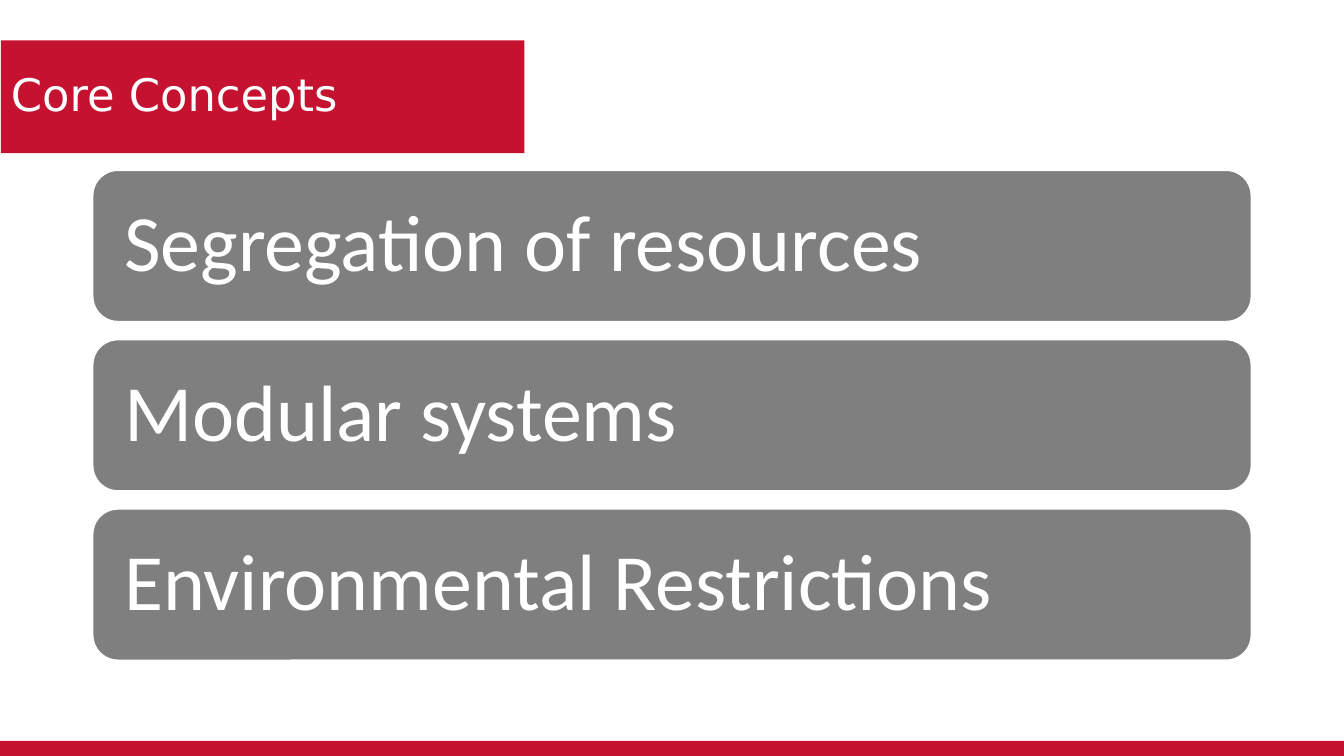
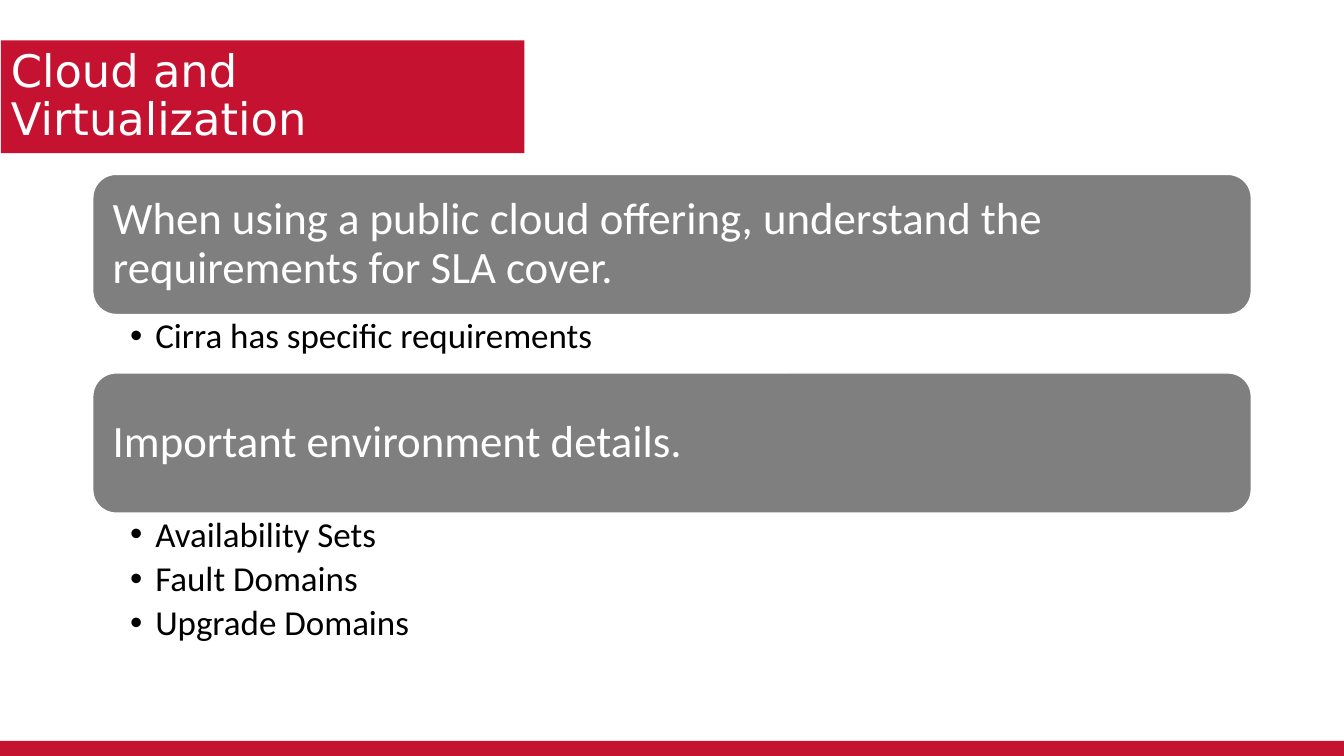
from dataclasses import dataclass

from lxml.etree import SubElement
from pptx import Presentation
from pptx.dml.color import RGBColor
from pptx.enum.shapes import MSO_SHAPE
from pptx.enum.text import MSO_ANCHOR, PP_ALIGN
from pptx.oxml.ns import qn
from pptx.util import Inches, Pt


@dataclass(frozen=True)
class Theme:
    red: str = "C41230"
    gray: str = "7F7F7F"
    white: str = "FFFFFF"
    black: str = "000000"
    title_font: str = "DejaVu Sans"
    body_font: str = "Calibri"
    title_size: int = 32
    concept_size: int = 57
    heading_size: int = 32
    bullet_size: int = 25


THEME = Theme()

# Slide size and content column, in inches
WIDTH, HEIGHT = 13.33, 7.5
MARGIN = 0.92
COLUMN = WIDTH - 2 * MARGIN
FOOTER = HEIGHT * 0.02


def add_box(slide, preset, left, top, width, height, fill, line=None):
    """Add a flat filled shape with an optional outline."""
    shape = slide.shapes.add_shape(
        preset, Inches(left), Inches(top), Inches(width), Inches(height))
    shape.shadow.inherit = False
    shape.fill.solid()
    shape.fill.fore_color.rgb = RGBColor.from_string(fill)
    if line:
        shape.line.color.rgb = RGBColor.from_string(line)
        shape.line.width = Pt(1)
    else:
        shape.line.fill.background()
    return shape


def add_bullet(paragraph, indent=0.25):
    """Give a paragraph a round bullet with a hanging indent."""
    properties = paragraph._p.get_or_add_pPr()
    properties.set("marL", str(Inches(indent)))
    properties.set("indent", str(-Inches(indent)))
    SubElement(properties, qn("a:buFont"), typeface="Arial")
    SubElement(properties, qn("a:buChar"), char="•")


def write_text(shape, *lines, size, color=THEME.white, font=THEME.body_font,
               insets=(0.1, 0.05, 0.1, 0.05), anchor=MSO_ANCHOR.MIDDLE,
               bullets=False, space_after=0):
    """Fill a shape with one paragraph for each line."""
    frame = shape.text_frame
    frame.word_wrap = True
    frame.vertical_anchor = anchor
    (frame.margin_left, frame.margin_top,
     frame.margin_right, frame.margin_bottom) = map(Inches, insets)
    for index, line in enumerate(lines):
        paragraph = frame.add_paragraph() if index else frame.paragraphs[0]
        paragraph.text = line
        if bullets:
            add_bullet(paragraph)
        paragraph.alignment = PP_ALIGN.LEFT
        paragraph.line_spacing = 0.9
        paragraph.space_after = Pt(space_after)
        paragraph.font.size = Pt(size)
        paragraph.font.name = font
        paragraph.font.color.rgb = RGBColor.from_string(color)


def add_base_slide(presentation, title):
    """Add a blank slide with the footer band and title block."""
    slide = presentation.slides.add_slide(presentation.slide_layouts[6])
    add_box(slide, MSO_SHAPE.RECTANGLE, 0, HEIGHT - FOOTER, WIDTH, FOOTER, THEME.red)
    block = add_box(slide, MSO_SHAPE.RECTANGLE, 0.01, 0.4, 5.19, 1.12, THEME.red)
    write_text(block, title, size=THEME.title_size, font=THEME.title_font)
    return slide


def add_card(slide, text, top, height, size, inset):
    """Add a rounded gray card across the content column."""
    card = add_box(slide, MSO_SHAPE.ROUNDED_RECTANGLE, MARGIN, top, COLUMN, height,
                   THEME.gray, line=THEME.white)
    write_text(card, text, size=size, insets=(inset,) * 4)


def add_bullet_list(slide, items, top, height):
    """Add a bulleted list across the content column."""
    box = slide.shapes.add_textbox(
        Inches(MARGIN), Inches(top), Inches(COLUMN), Inches(height))
    write_text(box, *items, size=THEME.bullet_size, color=THEME.black,
               insets=(0.37, 0.04, 0.25, 0.04), anchor=MSO_ANCHOR.TOP,
               bullets=True, space_after=4.5)


def build_concepts(presentation):
    slide = add_base_slide(presentation, "Core Concepts")
    concepts = ("Segregation of resources", "Modular systems",
                "Environmental Restrictions")
    top, height, gap = 1.69, 1.5, 0.18
    for row, concept in enumerate(concepts):
        add_card(slide, concept, top + row * (height + gap), height,
                 THEME.concept_size, inset=0.24)


def build_cloud(presentation):
    slide = add_base_slide(presentation, "Cloud and Virtualization")
    # Heading, its bullets and the height of the list
    sections = (
        ("When using a public cloud offering, understand the requirements for SLA cover.",
         ("Cirra has specific requirements",), 0.58),
        ("Important environment details.",
         ("Availability Sets", "Fault Domains", "Upgrade Domains"), 1.41),
    )
    top, card_height = 1.73, 1.39
    for heading, items, list_height in sections:
        add_card(slide, heading, top, card_height, THEME.heading_size, inset=0.13)
        add_bullet_list(slide, items, top + card_height, list_height)
        top += card_height + list_height


def main():
    presentation = Presentation()
    presentation.slide_width = Inches(WIDTH)
    presentation.slide_height = Inches(HEIGHT)
    build_concepts(presentation)
    build_cloud(presentation)
    presentation.save("out.pptx")


if __name__ == "__main__":
    main()
